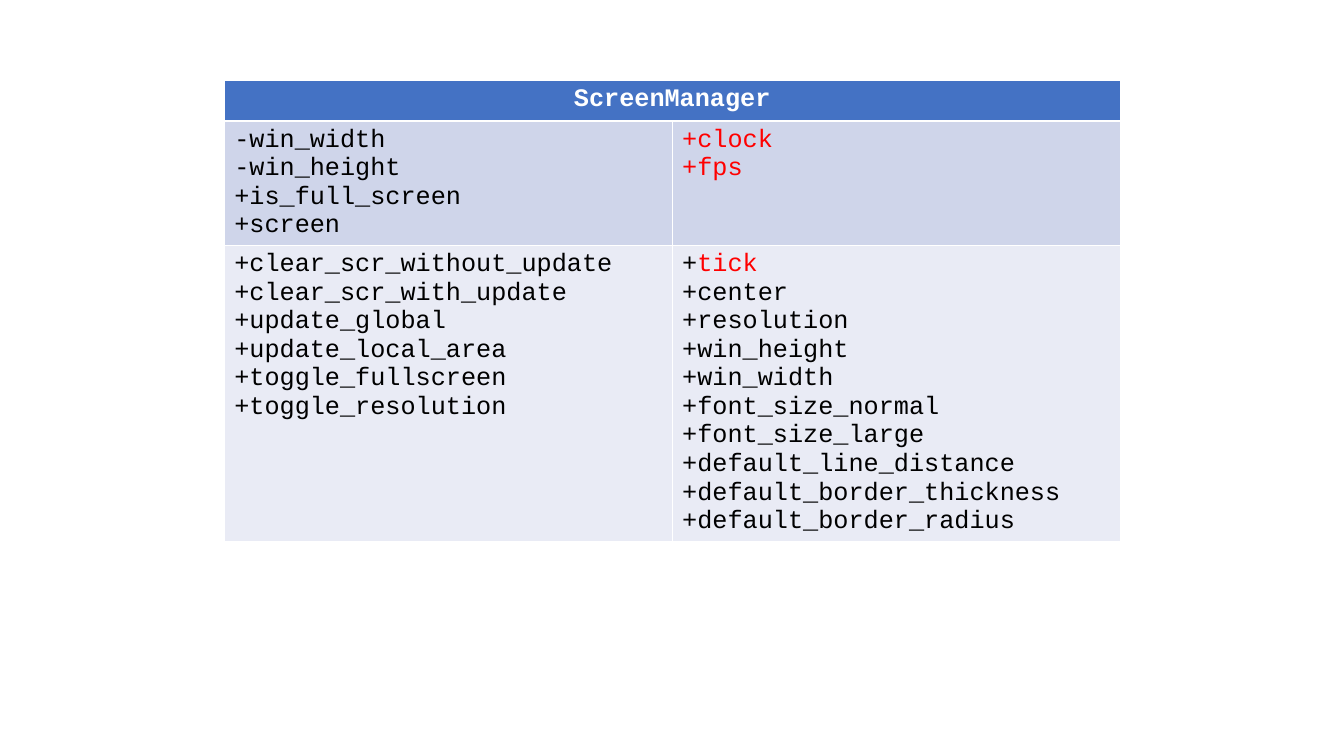
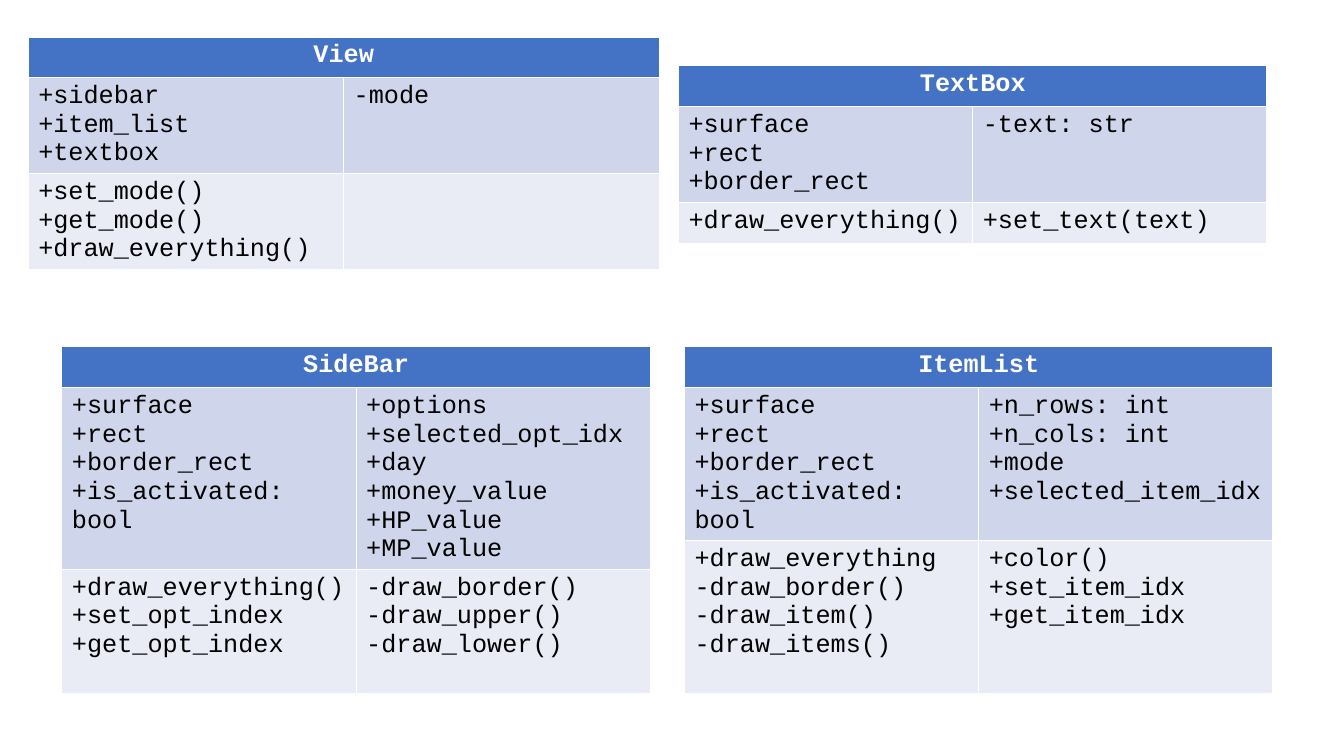
"""Builds two slides of class diagrams, each class drawn as a table."""
import pptx
import pptx.dml.color
import pptx.enum.text
import pptx.util

Cm = pptx.util.Cm
BLANK_LAYOUT = 6


def rgb(value):
    """Turn a hex string into a colour."""
    return pptx.dml.color.RGBColor.from_string(value)


def add_span(para, text, color="000000", bold=False, size=18, font="Courier New"):
    """Append formatted text to a paragraph."""
    span = para.add_run()
    span.text = text
    span.font.name = font
    span.font.size = pptx.util.Pt(size)
    span.font.bold = bold
    span.font.color.rgb = rgb(color)


class ClassDiagram:
    """Holds the style and the current page."""

    HEADER, ATTRIBUTES, METHODS = "4472C4", "CFD5EA", "E9EBF5"
    WHITE, RED = "FFFFFF", "FF0000"
    HEADER_HEIGHT, LINE_HEIGHT, CELL_PADDING = 1.03, 0.72, 0.25

    def __init__(self):
        """Start an empty widescreen deck."""
        self.deck = pptx.Presentation()
        self.deck.slide_width = Cm(33.87)
        self.deck.slide_height = Cm(19.05)
        self.page = None

    def add_page(self):
        """Start a new blank page."""
        self.page = self.deck.slides.add_slide(self.deck.slide_layouts[BLANK_LAYOUT])

    def row_height(self, lines):
        """Give the height of a row that holds a number of text lines."""
        return max(self.HEADER_HEIGHT, lines * self.LINE_HEIGHT + self.CELL_PADDING)

    def fill_cell(self, cell, color, members):
        """Colour a cell and list its members, each a string or (text, colour) pairs."""
        cell.fill.solid()
        cell.fill.fore_color.rgb = rgb(color)
        for index, member in enumerate(members):
            frame = cell.text_frame
            para = frame.add_paragraph() if index else frame.paragraphs[0]
            spans = [(member, "000000")] if isinstance(member, str) else member
            for text, text_color in spans:
                add_span(para, text, color=text_color)

    def add_class(self, name, left, top, width, line_counts, attributes, methods):
        """Draw a class as a header row over two columns of attributes and methods."""
        heights = [self.HEADER_HEIGHT] + [self.row_height(count) for count in line_counts]
        table = self.page.shapes.add_table(
            3, 2, Cm(left), Cm(top), Cm(width), Cm(sum(heights))).table
        for row, height in zip(table.rows, heights):
            row.height = Cm(height)
        header = table.cell(0, 0)
        header.merge(table.cell(0, 1))
        self.fill_cell(header, self.HEADER, [])
        title = header.text_frame.paragraphs[0]
        title.alignment = pptx.enum.text.PP_ALIGN.CENTER
        add_span(title, name, color=self.WHITE, bold=True)
        sections = ((self.ATTRIBUTES, attributes), (self.METHODS, methods))
        for row, (color, columns) in enumerate(sections, start=1):
            for column, members in enumerate(columns):
                self.fill_cell(table.cell(row, column), color, members)


def main():
    """Build and save the deck."""
    diagram = ClassDiagram()
    red = diagram.RED

    diagram.add_page()
    diagram.add_class(
        "ScreenManager", 5.65, 2.02, 22.58, (4, 10),
        attributes=(
            ["-win_width", "-win_height", "+is_full_screen", "+screen"],
            [[("+clock", red)], [("+fps", red)]],
        ),
        methods=(
            ["+clear_scr_without_update", "+clear_scr_with_update", "+update_global",
             "+update_local_area", "+toggle_fullscreen", "+toggle_resolution"],
            [[("+", "000000"), ("tick", red)], "+center", "+resolution", "+win_height",
             "+win_width", "+font_size_normal", "+font_size_large",
             "+default_line_distance", "+default_border_thickness",
             "+default_border_radius"],
        ),
    )

    diagram.add_page()
    box_members = ["+surface", "+rect", "+border_rect"]
    panel_members = box_members + ["+is_activated: bool"]
    box_width = 14.83
    diagram.add_class(
        "View", 0.71, 0.93, 15.9, (3, 3),
        attributes=(["+sidebar", "+item_list", "+textbox"], ["-mode"]),
        methods=(["+set_mode()", "+get_mode()", "+draw_everything()"], []),
    )
    diagram.add_class(
        "SideBar", 1.56, 8.74, box_width, (6, 4),
        attributes=(
            panel_members,
            ["+options", "+selected_opt_idx", "+day", "+money_value", "+HP_value",
             "+MP_value"],
        ),
        methods=(
            ["+draw_everything()", "+set_opt_index", "+get_opt_index"],
            ["-draw_border()", "-draw_upper()", "-draw_lower()"],
        ),
    )
    diagram.add_class(
        "ItemList", 17.25, 8.74, box_width, (5, 5),
        attributes=(
            panel_members,
            ["+n_rows: int", "+n_cols: int", "+mode", "+selected_item_idx"],
        ),
        methods=(
            ["+draw_everything", "-draw_border()", "-draw_item()", "-draw_items()"],
            ["+color()", "+set_item_idx", "+get_item_idx"],
        ),
    )
    diagram.add_class(
        "TextBox", 17.1, 1.66, box_width, (3, 1),
        attributes=(box_members, ["-text: str"]),
        methods=(["+draw_everything()"], ["+set_text(text)"]),
    )
    diagram.deck.save("out.pptx")


if __name__ == "__main__":
    main()
